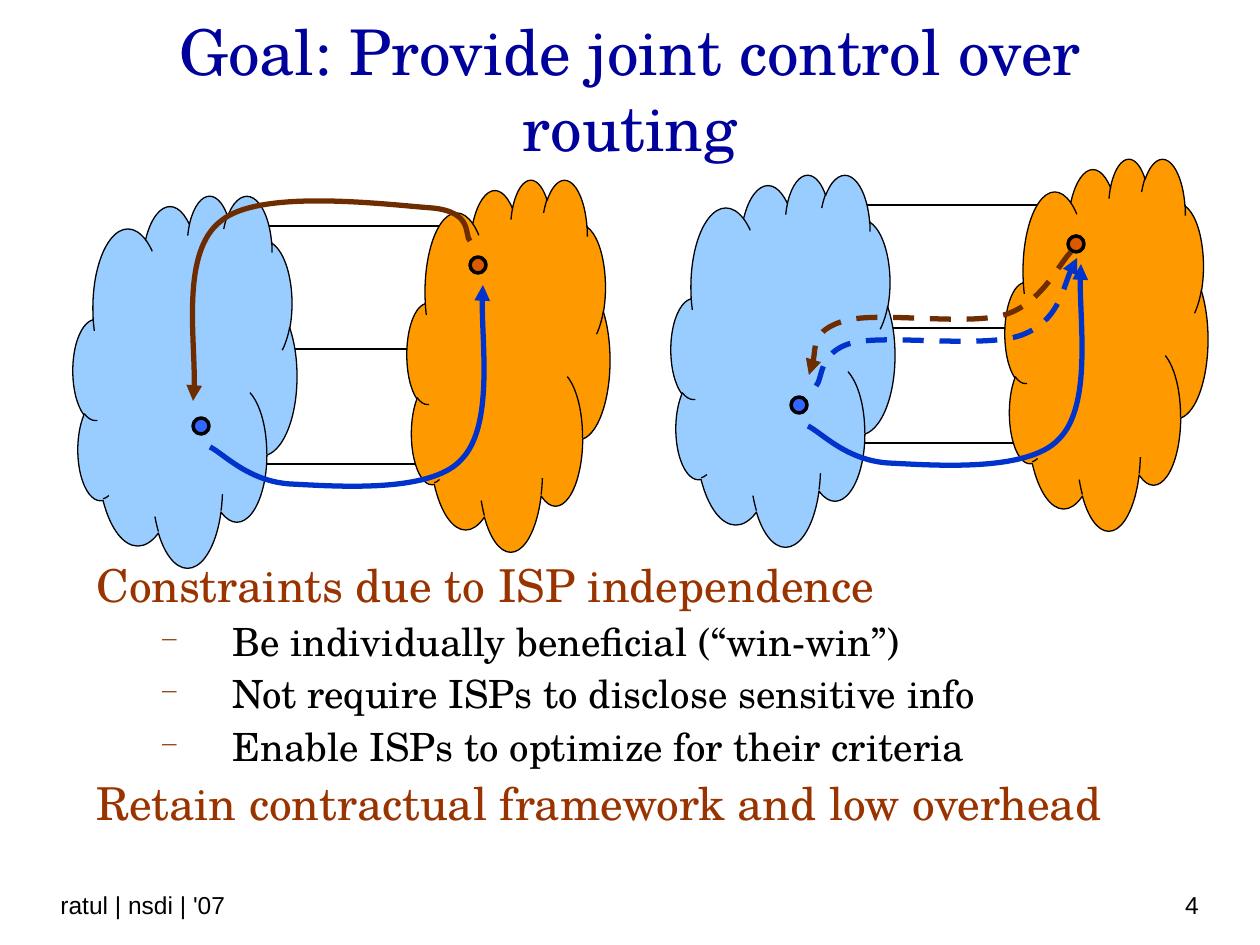
from pptx import Presentation
from pptx import util as u
from pptx.dml.color import RGBColor
from pptx.enum import dml, shapes, text
from pptx.oxml import ns
from lxml import etree

PX = 914400 / 126
SERIF, SANS = "TeX Gyre Schola", "Arial"
BLACK = RGBColor(0, 0, 0)
NAVY = RGBColor(0x00, 0x00, 0x9C)
RUST = RGBColor(0x99, 0x33, 0x00)
SKY = RGBColor(0x99, 0xCC, 0xFF)
ORANGE = RGBColor(0xFF, 0x99, 0x00)
BLUE_DOT = RGBColor(0x33, 0x66, 0xFF)
ORANGE_DOT = RGBColor(0xDC, 0x59, 0x00)
BLUE = RGBColor(0x00, 0x33, 0xCC)
BROWN = RGBColor(0x6E, 0x2D, 0x00)

HEADING = {"size": u.Pt(25.9), "name": SERIF}
ITEM = {"size": u.Pt(22.2), "name": SERIF}
FOOTER = {"size": u.Pt(14), "name": SANS}
HEADING_PARA = {"line_spacing": 0.9, "space_before": u.Pt(7)}
ITEM_PARA = {"line_spacing": 0.9, "space_before": u.Pt(6)}

LINKS = [(263, 349, 423), (213, 464, 446), (266, 226, 459)]
CLOUDS = [
    ((73, 195, 224, 372), (154, 255, 132, 130), SKY),
    ((407, 179, 203, 372), (479, 237, 120, 130), ORANGE),
]
DOTS = [((193, 418, 16, 16), BLUE_DOT), ((470, 257, 16, 16), ORANGE_DOT)]
LOWER_ROUTE = [(210, 447), (224, 454), (248, 481), (290, 484), (333, 486),
               (430, 494), (461, 460), (494, 427), (479, 321), (483, 285)]
UPPER_ROUTE = [(470, 241), (464, 236), (474, 212), (432, 208), (389, 205),
               (260, 188), (221, 221), (180, 252), (199, 363), (193, 401)]
JOINT_BLUE = [(816, 386), (823, 379), (818, 352), (852, 343), (886, 334),
              (984, 349), (1022, 335), (1058, 321), (1066, 275), (1077, 258)]
JOINT_BROWN = [(1071, 252), (1060, 262), (1042, 304), (1004, 315), (965, 326),
               (877, 311), (844, 321), (811, 331), (816, 364), (809, 375)]


def px(*values):
    return [u.Emu(round(v * PX)) for v in values]


def apply(obj, formats):
    for key, value in formats.items():
        setattr(obj, key, value)


def shift(points, dx, dy):
    return [(x + dx, y + dy) for x, y in points]


def add_text_box(s, box, anchor):
    tf = s.shapes.add_textbox(*px(*box)).text_frame
    apply(tf, {"word_wrap": True, "vertical_anchor": anchor})
    return tf


def write(p, words, font, color, para):
    r = p.add_run()
    r.text = words
    apply(r.font, font)
    r.font.color.rgb = color
    apply(p, para)


def add_label(s, box, words, font, color, anchor, align):
    tf = add_text_box(s, box, anchor)
    write(tf.paragraphs[0], words, font, color, {"alignment": align})


def add_dash(p):
    pPr = p._p.get_or_add_pPr()
    left, hang = px(136, -73)
    pPr.set("marL", str(left))
    pPr.set("indent", str(hang))
    clr = etree.SubElement(pPr, ns.qn("a:buClr"))
    etree.SubElement(clr, ns.qn("a:srgbClr")).set("val", "8A3800")
    etree.SubElement(pPr, ns.qn("a:buSzPct")).set("val", "65000")
    etree.SubElement(pPr, ns.qn("a:buChar")).set("char", "\u2212")


def add_body(s, lines):
    tf = add_text_box(s, (84, 557, 1124, 325), text.MSO_ANCHOR.TOP)
    for i, (level, words) in enumerate(lines):
        p = tf.add_paragraph() if i else tf.paragraphs[0]
        if level:
            write(p, words, ITEM, BLACK, {"level": 1, **ITEM_PARA})
            add_dash(p)
        else:
            write(p, words, HEADING, RUST, HEADING_PARA)


def add_preset(s, kind, box, fill, width=0):
    sp = s.shapes.add_shape(kind, *px(*box))
    sp.shadow.inherit = False
    sp.fill.solid()
    sp.fill.fore_color.rgb = fill
    if width:
        sp.line.color.rgb = BLACK
        sp.line.width = u.Pt(width)
    else:
        sp.line.fill.background()
    return sp


def add_cloud(s, box, cover, fill):
    sp = add_preset(s, shapes.MSO_SHAPE.CLOUD_CALLOUT, box, fill, 0.74)
    sp.adjustments[0], sp.adjustments[1] = 0.045, -0.036
    add_preset(s, shapes.MSO_SHAPE.OVAL, cover, fill).rotation = 148.7


def add_link(s, x1, y, x2):
    c = s.shapes.add_connector(shapes.MSO_CONNECTOR.STRAIGHT, *px(x1, y, x2, y))
    c.line.color.rgb = BLACK
    c.line.width = u.Pt(1.5)
    etree.SubElement(c._element.spPr, ns.qn("a:effectLst"))


def add_route(s, points, color, dashed=False):
    start, *rest = [px(*pt) for pt in points]
    fb = s.shapes.build_freeform(*start)
    fb.add_line_segments(rest, close=False)
    sp = fb.convert_to_shape()
    segments = list(sp._element.iter(ns.qn("a:lnTo")))
    for i in range(0, len(segments), 3):
        curve = etree.Element(ns.qn("a:cubicBezTo"))
        segments[i].addprevious(curve)
        for segment in segments[i:i + 3]:
            curve.append(segment[0])
            segment.getparent().remove(segment)
    sp.shadow.inherit = False
    sp.fill.background()
    sp.line.color.rgb = color
    sp.line.width = u.Pt(3)
    if dashed:
        sp.line.dash_style = dml.MSO_LINE.DASH
    etree.SubElement(sp.line._get_or_add_ln(), ns.qn("a:tailEnd")).set("type", "triangle")


def add_networks(s, dx, dy):
    def move(box):
        return (box[0] + dx, box[1] + dy, *box[2:])

    for x1, y, x2 in LINKS:
        add_link(s, x1 + dx, y + dy, x2 + dx)
    for box, cover, fill in CLOUDS:
        add_cloud(s, move(box), move(cover), fill)
    for box, fill in DOTS:
        add_preset(s, shapes.MSO_SHAPE.OVAL, move(box), fill, 2)
    add_route(s, shift(LOWER_ROUTE, dx, dy), BLUE)


def main():
    prs = Presentation()
    prs.slide_width, prs.slide_height = px(1260, 945)
    s = prs.slides.add_slide(prs.slide_layouts[6])
    anchor, align = text.MSO_ANCHOR, text.PP_ALIGN
    add_label(s, (63, 28, 1134, 120), "Goal: Provide joint control over routing",
              {"size": u.Pt(36), "name": SERIF}, NAVY, anchor.MIDDLE, align.CENTER)
    add_body(s, [
        (0, "Constraints due to ISP independence"),
        (1, "Be individually beneficial (\u201cwin-win\u201d)"),
        (1, "Not require ISPs to disclose sensitive info"),
        (1, "Enable ISPs to optimize for their criteria"),
        (0, "Retain contractual framework and low overhead"),
    ])
    add_networks(s, 0, 0)
    add_route(s, UPPER_ROUTE, BROWN)
    add_networks(s, 598, -21)
    add_route(s, JOINT_BLUE, BLUE, dashed=True)
    add_route(s, JOINT_BROWN, BROWN, dashed=True)
    add_label(s, (917, 861, 294, 65), "4", FOOTER, BLACK, anchor.BOTTOM, align.RIGHT)
    add_label(s, (48, 861, 508, 65), "ratul | nsdi | '07", FOOTER, BLACK,
              anchor.BOTTOM, align.LEFT)
    prs.save("out.pptx")


main()
